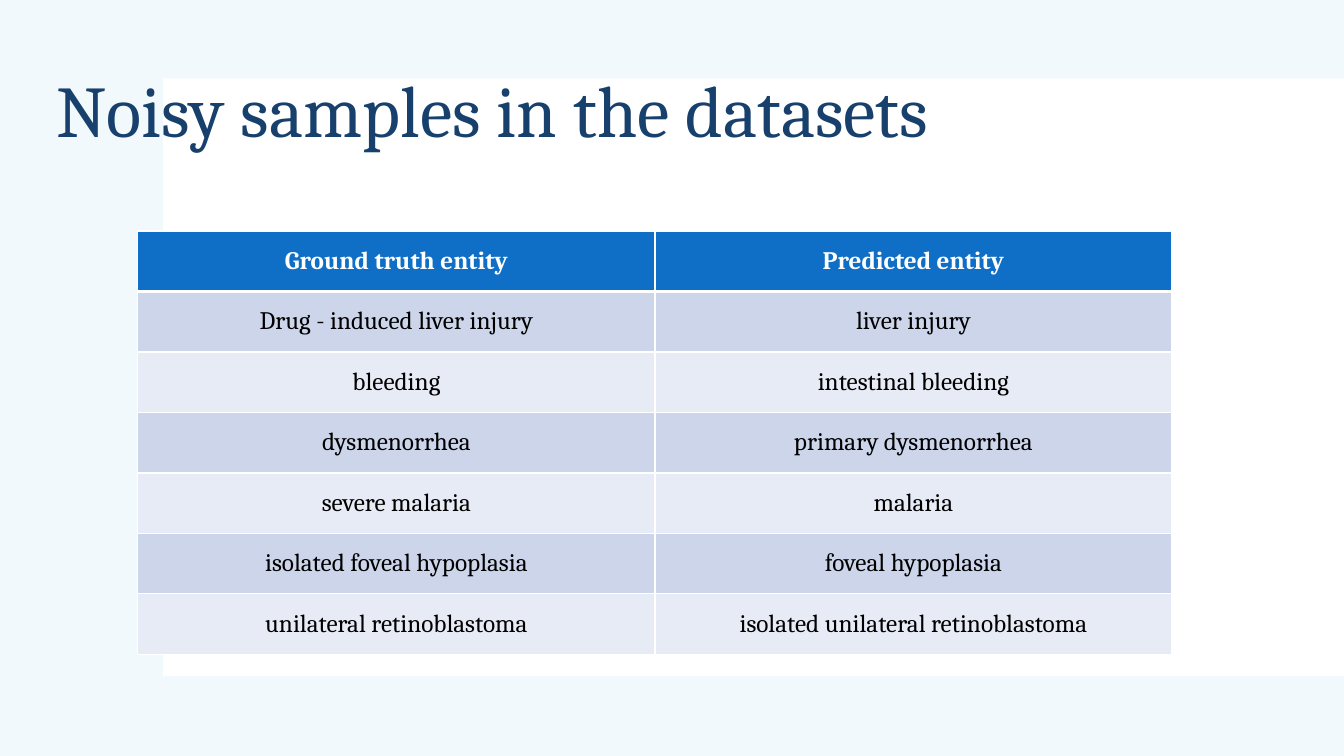
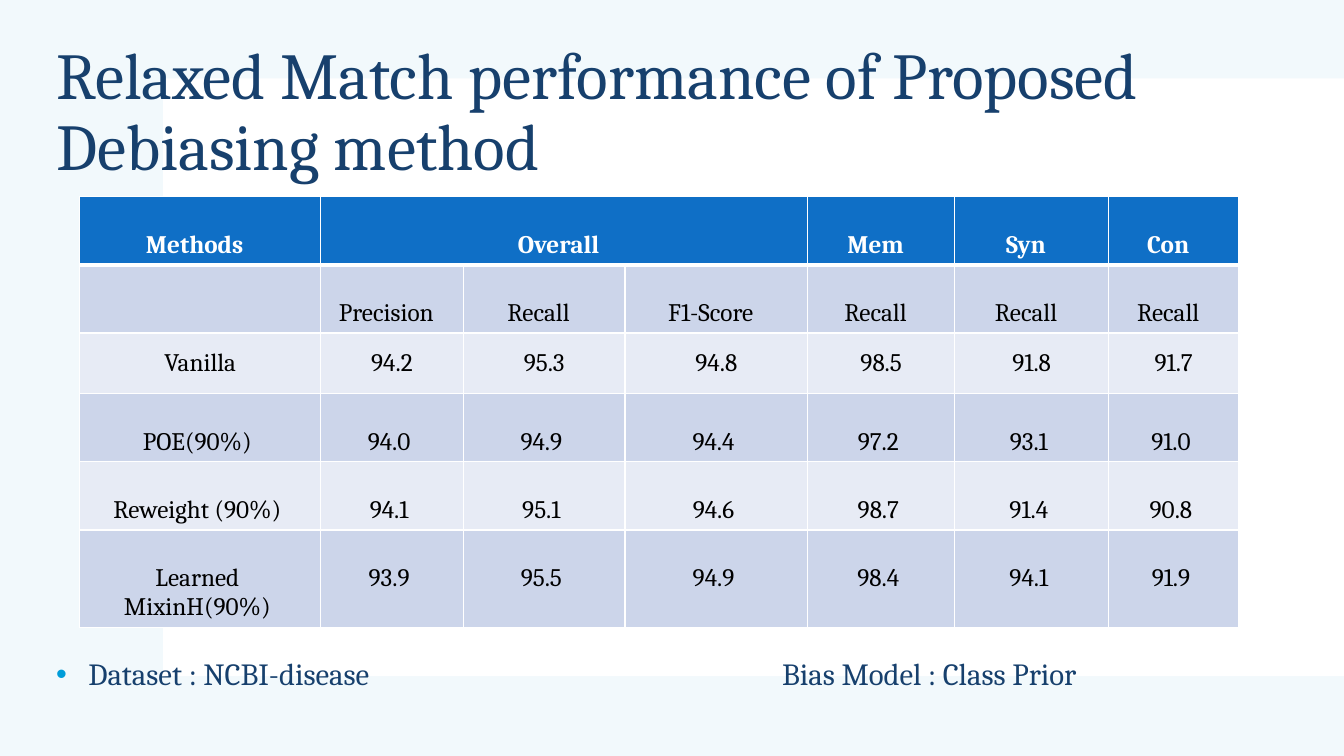
from lxml import etree
from pptx import Presentation
from pptx import util as u
from pptx.dml.color import RGBColor
from pptx.enum import shapes, text
from pptx.oxml import ns

Pt = u.Pt
WIDE, HIGH = 960, 540
FACE = "Cambria"
NAVY, BLUE, CYAN, PALE = "17406D", "0F6FC6", "009DD9", "DBEFF9"
WHITE, BLACK = "FFFFFF", "000000"
BANDS = ["E7EBF5", "CCD5EA"]
LINE = 20.7
EDGE = 3.6
SIDE = 7.2


def apply(item, **vals):
    for key, val in vals.items():
        setattr(item, key, val)


def ink(color, code):
    color.rgb = RGBColor.from_string(code)


def paint(fill, code):
    fill.solid()
    ink(fill.fore_color, code)


def style(font, size, code, bold=False):
    apply(font, name=FACE, size=Pt(size), bold=bold)
    ink(font.color, code)


def sub(node, tag, **vals):
    return etree.SubElement(node, ns.qn(tag), **vals)


def panel(slide, layout, spot, box, code, alpha=None):
    shape = slide.shapes.add_shape(shapes.MSO_SHAPE.RECTANGLE, *map(Pt, box))
    shape.shadow.inherit = False
    shape.line.fill.background()
    paint(shape.fill, code)
    if alpha:
        tone = next(shape.element.iter(ns.qn("a:srgbClr")))
        sub(tone, "a:alpha", val=str(alpha * 1000))
    layout.shapes.element.insert(spot, shape.element)


def title(slide, words, size):
    shape = slide.shapes.title
    apply(shape, left=Pt(33), top=Pt(29), width=Pt(830), height=Pt(104.4))
    frame = shape.text_frame
    apply(frame, text=words, word_wrap=True, auto_size=text.MSO_AUTO_SIZE.NONE,
          vertical_anchor=text.MSO_ANCHOR.MIDDLE)
    para = frame.paragraphs[0]
    apply(para, alignment=text.PP_ALIGN.LEFT, line_spacing=0.9)
    style(para.font, size, NAVY)


def border(cell, top, low):
    props = cell._tc.get_or_add_tcPr()
    sides = {"a:lnL": 1, "a:lnR": 1, "a:lnT": top, "a:lnB": low}
    for spot, (tag, size) in enumerate(sides.items()):
        line = etree.Element(ns.qn(tag), w=str(Pt(size)))
        sub(sub(line, "a:solidFill"), "a:srgbClr", val=WHITE)
        props.insert(spot, line)


def grid(slide, left, top, cols, highs, rows, pads, drops=()):
    frame = slide.shapes.add_table(len(rows), len(cols), Pt(left), Pt(top),
                                   Pt(sum(cols)), Pt(sum(highs)))
    table = frame.table
    table.horz_banding = False
    for col, width in zip(table.columns, cols):
        col.width = Pt(width)
    for r, (row, high) in enumerate(zip(rows, highs)):
        table.rows[r].height = Pt(high)
        head, drop = r == 0, r in drops
        for cell, words in zip(table.rows[r].cells, row):
            apply(cell, text=words, margin_left=Pt(SIDE),
                  margin_right=Pt(SIDE + pads[r]),
                  margin_top=Pt(EDGE + LINE * drop), margin_bottom=Pt(EDGE),
                  vertical_anchor=text.MSO_ANCHOR.TOP if drop
                  else text.MSO_ANCHOR.MIDDLE)
            para = cell.text_frame.paragraphs[0]
            para.alignment = text.PP_ALIGN.CENTER
            style(para.font, 18, WHITE if head else BLACK, head)
            paint(cell.fill, BLUE if head else BANDS[r % 2])
            border(cell, 3 if r == 1 else 1, 3 if head else 1)
    return table


def note(slide, words):
    box = slide.shapes.add_textbox(Pt(33), Pt(467), Pt(868), Pt(33))
    frame = box.text_frame
    apply(frame, word_wrap=True, text=words)
    para = frame.paragraphs[0]
    para.line_spacing = 0.9
    props = para._p.get_or_add_pPr()
    props.set("marL", str(Pt(23)))
    props.set("indent", str(-Pt(23)))
    sub(sub(props, "a:buClr"), "a:srgbClr", val=CYAN)
    sub(props, "a:buFont", typeface="Arial")
    sub(props, "a:buChar", char="•")
    sub(sub(props, "a:tabLst"), "a:tab", pos=str(Pt(518.5)), algn="l")
    style(para.font, 22, NAVY)


def noisy(slide):
    title(slide, "Noisy samples in the datasets", 52)
    rows = [
        ["Ground truth entity", "Predicted entity"],
        ["Drug - induced liver injury", "liver injury"],
        ["bleeding", "intestinal bleeding"],
        ["dysmenorrhea", "primary dysmenorrhea"],
        ["severe malaria", "malaria"],
        ["isolated foveal hypoplasia", "foveal hypoplasia"],
        ["unilateral retinoblastoma", "isolated unilateral retinoblastoma"],
    ]
    count = len(rows)
    grid(slide, 98.5, 165, [369.3] * 2, [43.2] * count, rows, [0] * count)


def relaxed(slide):
    title(slide, "Relaxed Match performance of Proposed Debiasing method", 46.8)
    rows = [
        ["Methods", "Overall", "", "", "Mem", "Syn", "Con"],
        ["", "Precision", "Recall", "F1-Score"] + ["Recall"] * 3,
        ["Vanilla", "94.2", "95.3", "94.8", "98.5", "91.8", "91.7"],
        ["POE(90%)", "94.0", "94.9", "94.4", "97.2", "93.1", "91.0"],
        ["Reweight (90%)", "94.1", "95.1", "94.6", "98.7", "91.4", "90.8"],
        ["Learned MixinH(90%)", "93.9", "95.5", "94.9", "98.4", "94.1", "91.9"],
    ]
    cols = [172, 102, 115.5, 130.5, 105, 110, 93]
    highs = [48.6, 48.6, 43.2, 48.6, 48.6, 69.3]
    table = grid(slide, 57, 140.5, cols, highs, rows, [8, 8, 0, 4, 4, 4],
                 (0, 1, 3, 4, 5))
    table.cell(0, 1).merge(table.cell(0, 3))
    note(slide, "Dataset : NCBI-disease\tBias Model : Class Prior")


def main():
    deck = Presentation()
    apply(deck, slide_width=Pt(WIDE), slide_height=Pt(HIGH))
    layout = deck.slide_layouts[5]
    first, second = [deck.slides.add_slide(layout) for _ in range(2)]
    panel(first, layout, 2, (0, 0, WIDE, HIGH), PALE, 35)
    panel(first, layout, 3, (116.5, 56, WIDE - 116.5, 427), WHITE)
    noisy(first)
    relaxed(second)
    deck.save("out.pptx")


if __name__ == "__main__":
    main()
